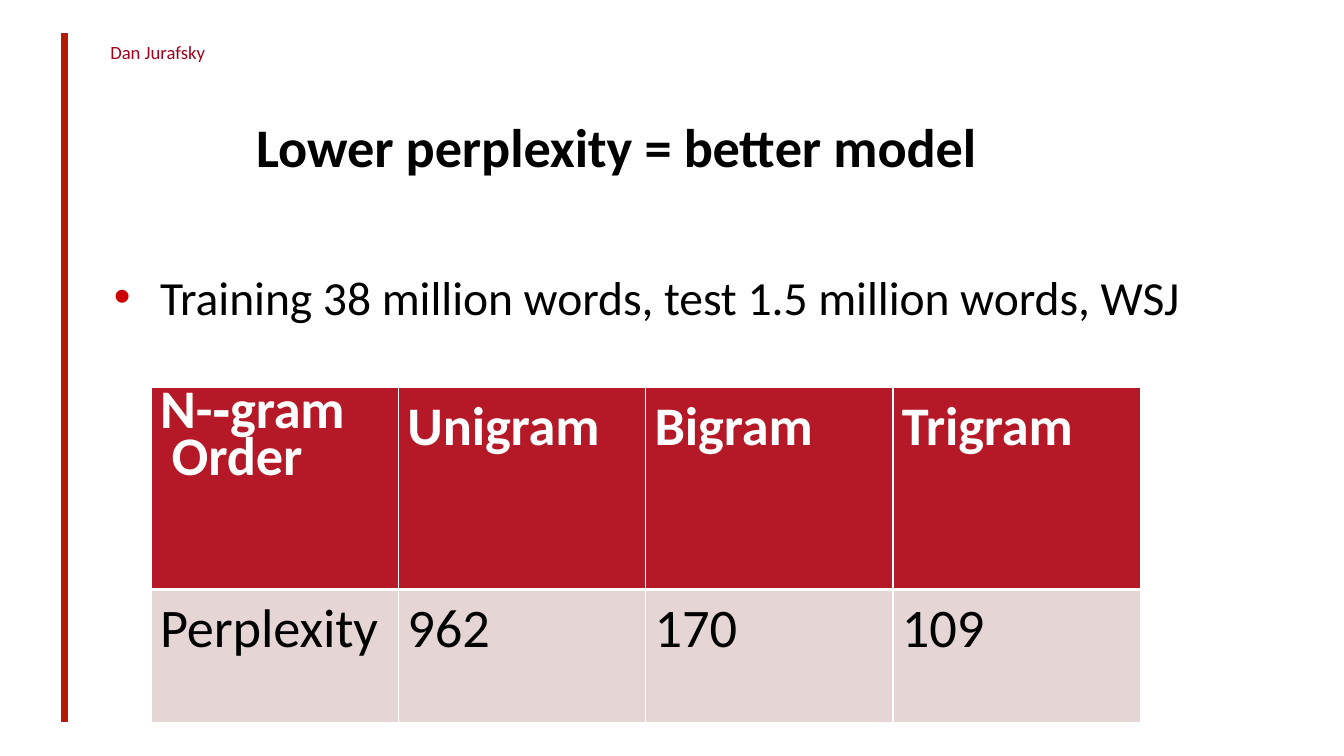
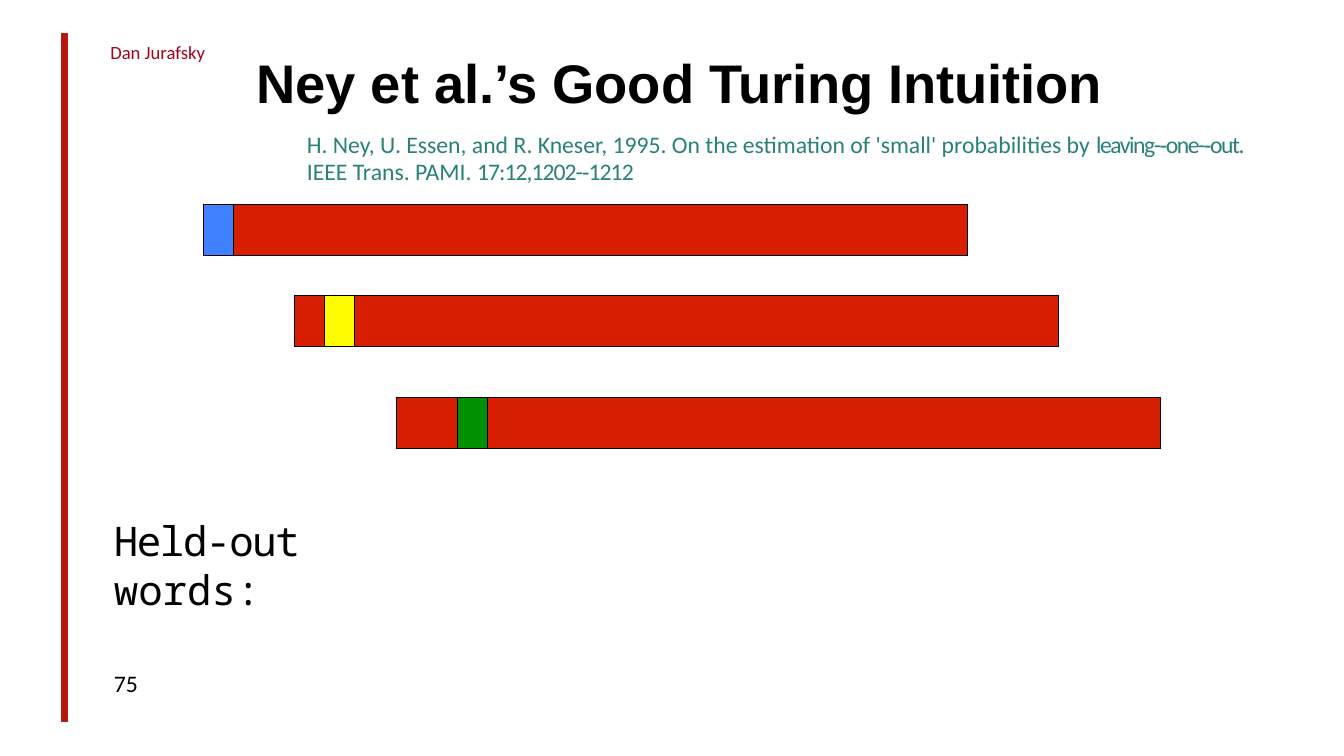
from lxml import etree
from pptx import Presentation
from pptx.dml.color import RGBColor
from pptx.enum.shapes import MSO_SHAPE
from pptx.enum.text import MSO_ANCHOR, MSO_AUTO_SIZE, PP_ALIGN
from pptx.oxml.ns import qn
from pptx.util import Inches, Pt

RECT = MSO_SHAPE.RECTANGLE
TOP = MSO_ANCHOR.TOP
LEFT = PP_ALIGN.LEFT
FIXED = MSO_AUTO_SIZE.NONE

BLACK, WHITE, RED = "000000", "FFFFFF", "D81E00"
CRIMSON, PINK = "B51826", "E6D5D5"

HEAD = {"size": Pt(44), "name": "Calibri", "bold": True}
CELL = {**HEAD, "bold": False}
ARIAL = {**HEAD, "name": "Arial"}
BODY = {"size": Pt(38.5), "name": "Calibri"}
SMALL = {"size": Pt(19.2), "name": "Calibri"}
NAME = {"size": Pt(15.1), "name": "Calibri"}
MONO = {"size": Pt(33), "name": "Noto Sans Mono"}


def paint(fill, color):
    fill.solid()
    fill.fore_color.rgb = RGBColor.from_string(color)


def apply(item, values):
    for key, value in values.items():
        setattr(item, key, value)


def write(para, runs, style, color=BLACK):
    for text, gap in runs:
        run = para.add_run()
        run.text = text
        apply(run.font, style)
        paint(run.font.fill, color)
        run.font._element.set("spc", str(round(gap * 100)))


def fit(shape, box, runs, style, color=BLACK, top=0.02):
    sides = zip(("left", "top", "width", "height"), box)
    apply(shape, {key: Inches(size) for key, size in sides})
    frame = shape.text_frame
    apply(frame, {
        "word_wrap": True, "auto_size": FIXED, "vertical_anchor": TOP,
        "margin_left": Inches(0.02), "margin_right": 0,
        "margin_top": Inches(top), "margin_bottom": 0,
    })
    para = frame.paragraphs[0]
    para.alignment = LEFT
    write(para, runs, style, color)
    return para


def label(slide, box, *args, **extra):
    shape = slide.shapes.add_textbox(0, 0, 0, 0)
    return fit(shape, box, *args, **extra)


def block(slide, box, color, edge):
    shape = slide.shapes.add_shape(RECT, *map(Inches, box))
    shape.shadow.inherit = False
    paint(shape.fill, color)
    paint(shape.line.fill, edge)
    shape.line.width = Pt(0.75)


def indent(para, left, first):
    props = para._p.get_or_add_pPr()
    props.set("marL", str(Inches(left)))
    props.set("indent", str(Inches(first)))
    return props


def bullet(para, color):
    props = indent(para, 0.52, -0.52)
    tint = etree.SubElement(props, qn("a:buClr"))
    etree.SubElement(tint, qn("a:srgbClr"), val=color)
    etree.SubElement(props, qn("a:buFont"), typeface="Arial")
    etree.SubElement(props, qn("a:buChar"), char="•")


def border(cell, color, **widths):
    props = cell._tc.get_or_add_tcPr()
    for side in "LRTB":
        width = Pt(widths.get(side, widths["all"]))
        line = etree.SubElement(props, qn(f"a:ln{side}"), w=str(width))
        fill = etree.SubElement(line, qn("a:solidFill"))
        etree.SubElement(fill, qn("a:srgbClr"), val=color)


def grid(slide, left, top, cols, rows):
    size = [Inches(sum(cols)), Inches(sum(rows))]
    table = slide.shapes.add_table(
        len(rows), len(cols), Inches(left), Inches(top), *size).table
    apply(table, {"first_row": False, "horz_banding": False})
    for col, width in zip(table.columns, cols):
        col.width = Inches(width)
    for row, height in zip(table.rows, rows):
        row.height = Inches(height)
    return table


def scores(slide):
    data = [[[("N-‐", 0), ("gram Order", -0.1)],
             [("Unigram", -0.1)], [("Bigram", -0.1)], [("Trigram", -0.1)]],
            [[("Perplexity", -0.1)], [("962", 0)], [("170", 0)], [("109", 0)]]]
    looks = [(HEAD, WHITE, CRIMSON, {"B": 3}), (CELL, BLACK, PINK, {"T": 3})]
    table = grid(slide, 1.7, 4.36, [2.78] * 4, [2.27, 1.49])
    for r, (texts, look) in enumerate(zip(data, looks)):
        style, ink, back, rule = look
        for c, runs in enumerate(texts):
            cell = table.cell(r, c)
            border(cell, WHITE, all=1, **rule)
            paint(cell.fill, back)
            apply(cell, {"margin_left": Inches(0.1), "margin_right": 0,
                         "margin_top": Inches(0.07), "margin_bottom": 0})
            write(cell.text_frame.paragraphs[0], runs, style, ink)
    corner = table.cell(0, 0)
    corner.margin_top = Inches(0.1)
    para = corner.text_frame.paragraphs[0]
    indent(para, 0.13, -0.13)
    para.line_spacing = Pt(38)


def band(slide, left, top, parts):
    table = grid(slide, left, top, [width for width, _ in parts], [0.57])
    for cell, (_, color) in zip(table.rows[0].cells, parts):
        border(cell, BLACK, all=0.75)
        paint(cell.fill, color)


def start(deck, box, runs, style):
    slide = deck.slides.add_slide(deck.slide_layouts[5])
    label(slide, (1.22, 0.44, 1.3, 0.27), [("Dan Jurafsky", 0)], NAME, "A4001D")
    block(slide, (0.69, 0.38, 0.07, 7.73), "B51904", CRIMSON)
    fit(slide.shapes.title, box, runs, style)
    return slide


def model(deck):
    title = [("Lower perplexity = ", -0.1), ("better", -0.3), (" model", -0.1)]
    slide = start(deck, (2.86, 1.25, 8.2, 0.76), title, HEAD)
    text = "Training 38 million words, test 1.5 million words, WSJ"
    bullet(label(slide, (1.26, 2.99, 12.13, 0.67), [(text, -0.06)], BODY), "CC0000")
    scores(slide)


def turing(deck):
    slide = start(deck, (2.86, 0.53, 9.64, 0.76),
                  [("Ney et ", 0), ("al.’s Good Turing Intuition", -0.1)], ARIAL)
    cite = [
        ("H. Ney, U. Essen, and R. Kneser, 1995. On the estimation of "
         "'small' probabilities by ", -0.01),
        ("leaving-‐one-‐out. ", -1.2),
        ("IEEE Trans. PAMI. ", 0),
        ("17:12,1202-‐1212", -0.8),
    ]
    para = label(slide, (3.43, 1.44, 10.78, 0.66), cite, SMALL, "28817A", top=0.03)
    para.line_spacing = Pt(22)
    held, full, high = 0.34, 8.59, 0.57
    left, top = 2.29, 2.3
    block(slide, (left, top, full, high), RED, BLACK)
    block(slide, (left, top, held, high), "4180FF", BLACK)
    bands = [(3.31, 3.32, "FFFB00"), (4.46, 4.47, "008F00")]
    for step, (left, top, color) in enumerate(bands, 1):
        lead = step * held
        parts = [(lead, RED), (held, color), (full - lead - held, RED)]
        band(slide, left, top, parts)
    label(slide, (1.26, 5.78, 3.57, 1.15), [("Held-out ", -1.1), ("words:", 0)], MONO)
    label(slide, (1.26, 7.5, 0.5, 0.34), [("75", 0)], SMALL)


def main():
    deck = Presentation()
    apply(deck, {"slide_width": Inches(15.11), "slide_height": Inches(8.5)})
    model(deck)
    turing(deck)
    deck.save("out.pptx")


if __name__ == "__main__":
    main()
